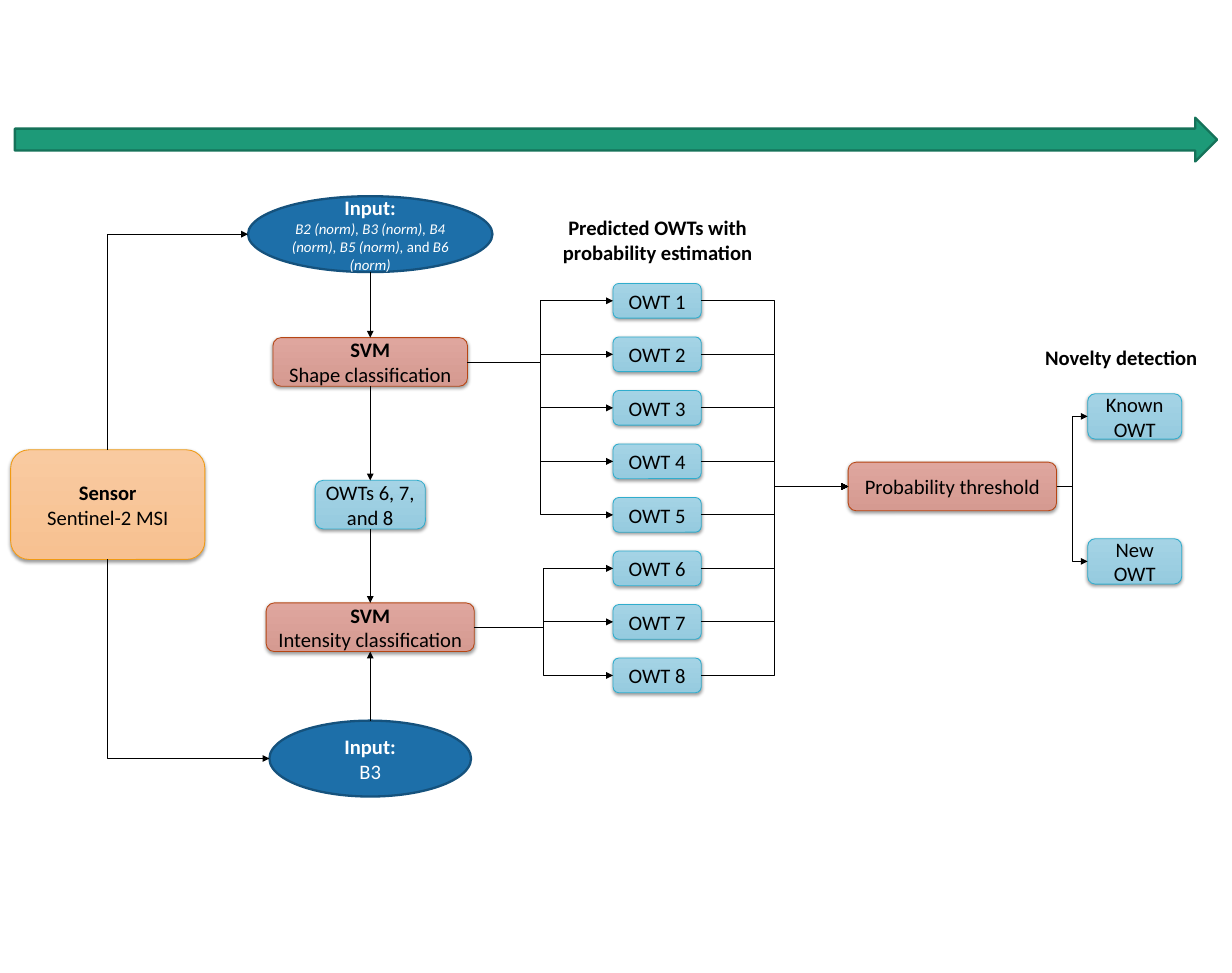
from dataclasses import dataclass

from lxml.etree import SubElement
from pptx import Presentation
from pptx.dml.color import RGBColor
from pptx.enum.shapes import MSO_CONNECTOR as Connector, MSO_SHAPE as Shape
from pptx.enum.text import MSO_ANCHOR as Anchor, MSO_AUTO_SIZE as AutoSize, PP_ALIGN as Align
from pptx.oxml.ns import qn
from pptx.util import Cm, Pt

TOP, LEFT, BOTTOM, RIGHT = range(4)


@dataclass(frozen=True)
class Theme:
    font: str = "Calibri"
    body: float = 18
    small: float = 13
    thin: float = 0.75
    thick: float = 2
    black: str = "000000"
    white: str = "FFFFFF"
    # Gradient start, gradient end, outline
    blue: tuple = ("A4D3E5", "96CBDF", "30ADCD")
    red: tuple = ("DFA69E", "D59A91", "B64614")
    orange: tuple = ("F9CAA0", "F7C191", "F09A13")
    # Fill, outline
    navy: tuple = ("1D6FA9", "15527D")
    green: tuple = ("1D9A78", "157259")


class Diagram:
    def __init__(self, slide, theme):
        self.slide = slide
        self.theme = theme

    def style_run(self, run, color, size, bold=False, italic=False):
        font = run.font
        font.name, font.size = self.theme.font, Pt(size)
        font.bold, font.italic = bold, italic
        font.color.rgb = RGBColor.from_string(color)

    def add_lines(self, shape, lines, color, bold_first):
        frame = shape.text_frame
        frame.word_wrap = True
        frame.text = "\n".join(lines)
        for index, paragraph in enumerate(frame.paragraphs):
            paragraph.alignment = Align.CENTER
            for run in paragraph.runs:
                self.style_run(run, color, self.theme.body, bold_first and index == 0)

    def outline(self, shape, color, width):
        shape.line.color.rgb = RGBColor.from_string(color)
        shape.line.width = Pt(width)

    def solid(self, kind, left, top, width, height, colors, lines=()):
        """Flat shape with a thick outline."""
        shape = self.slide.shapes.add_shape(kind, Cm(left), Cm(top), Cm(width), Cm(height))
        shape.shadow.inherit = False
        shape.fill.solid()
        shape.fill.fore_color.rgb = RGBColor.from_string(colors[0])
        self.outline(shape, colors[1], self.theme.thick)
        if lines:
            shape.text_frame.vertical_anchor = Anchor.MIDDLE
            self.add_lines(shape, lines, self.theme.white, True)
        return shape

    def box(self, left, top, width, height, colors, *lines):
        """Rounded box with a gradient and a soft shadow."""
        shape = self.slide.shapes.add_shape(
            Shape.ROUNDED_RECTANGLE, Cm(left), Cm(top), Cm(width), Cm(height))
        shape.fill.gradient()
        shape.fill.gradient_angle = 270
        for stop, color in zip(shape.fill.gradient_stops, colors):
            stop.color.rgb = RGBColor.from_string(color)
        self.outline(shape, colors[2], self.theme.thin)
        self.soft_shadow(shape)
        shape.text_frame.vertical_anchor = Anchor.MIDDLE
        self.add_lines(shape, lines, self.theme.black, len(lines) > 1)
        return shape

    def soft_shadow(self, shape):
        shape.shadow.inherit = False
        effects = shape._element.spPr.find(qn("a:effectLst"))
        shadow = SubElement(effects, qn("a:outerShdw"), blurRad=str(Pt(3.1)),
                            dist=str(Pt(1.6)), dir="5400000", rotWithShape="0")
        color = SubElement(shadow, qn("a:srgbClr"), val=self.theme.black)
        SubElement(color, qn("a:alpha"), val="38000")

    def heading(self, left, top, width, height, text):
        box = self.slide.shapes.add_textbox(Cm(left), Cm(top), Cm(width), Cm(height))
        self.add_lines(box, [text], self.theme.black, True)
        box.text_frame.auto_size = AutoSize.SHAPE_TO_FIT_TEXT

    def side_point(self, shape, side):
        middle_x = shape.left + shape.width // 2
        middle_y = shape.top + shape.height // 2
        return {
            TOP: (middle_x, shape.top),
            LEFT: (shape.left, middle_y),
            BOTTOM: (middle_x, shape.top + shape.height),
            RIGHT: (shape.left + shape.width, middle_y),
        }[side]

    def connect(self, start, start_side, end, end_side, kind=Connector.ELBOW, arrow="a:tailEnd"):
        connector = self.slide.shapes.add_connector(
            kind, *self.side_point(start, start_side), *self.side_point(end, end_side))
        # Ellipses number their connection sites differently, so only boxes are joined
        if start.auto_shape_type == Shape.ROUNDED_RECTANGLE:
            connector.begin_connect(start, start_side)
        if end.auto_shape_type == Shape.ROUNDED_RECTANGLE:
            connector.end_connect(end, end_side)
        self.outline(connector, self.theme.black, self.theme.thin)
        properties = connector._element.spPr
        SubElement(properties.find(qn("a:ln")), qn(arrow), type="triangle")
        SubElement(properties, qn("a:effectLst"))
        return connector

    def corner(self, target, source):
        """One-bend line from the source's top or bottom to the target's left side."""
        side = TOP if target.top < source.top else BOTTOM
        connector = self.connect(target, LEFT, source, side, arrow="a:headEnd")
        connector._element.spPr.find(qn("a:prstGeom")).set("prst", "bentConnector2")


def main():
    presentation = Presentation()
    presentation.slide_width, presentation.slide_height = Cm(38), Cm(30)
    slide = presentation.slides.add_slide(presentation.slide_layouts[6])
    theme = Theme()
    diagram = Diagram(slide, theme)

    # Process arrow and headings
    diagram.solid(Shape.RIGHT_ARROW, 0.46, 3.63, 37.08, 1.35, theme.green)
    diagram.heading(16.13, 6.5, 8.31, 1.78, "Predicted OWTs with probability estimation")
    diagram.heading(31.37, 10.52, 6.43, 1.02, "Novelty detection")

    # Sensor
    sensor = diagram.box(0.33, 13.87, 5.99, 3.38, theme.orange, "Sensor", "Sentinel-2 MSI")

    # Classification column, centred on one axis
    axis = 11.42
    bands = diagram.solid(Shape.OVAL, axis - 3.77, 6.05, 7.54, 2.34, theme.navy,
                          ["Input:", "B2 (norm), B3 (norm), B4 (norm), B5 (norm), "])
    band_list = bands.text_frame.paragraphs[1]
    for text in ("and", " B6 (norm)"):
        band_list.add_run().text = text
    for run in band_list.runs:
        diagram.style_run(run, theme.white, theme.small, italic=run.text != "and")
    shape_svm = diagram.box(axis - 3, 10.41, 6, 1.5, theme.red, "SVM", "Shape classification")
    passed_types = diagram.box(axis - 1.7, 14.81, 3.4, 1.5, theme.blue, "OWTs 6, 7, and 8")
    intensity_svm = diagram.box(axis - 3.21, 18.59, 6.42, 1.5, theme.red,
                                "SVM", "Intensity classification")
    band_three = diagram.solid(Shape.OVAL, axis - 3.11, 22.22, 6.22, 2.34, theme.navy,
                               ["Input:", "B3"])

    for target in (bands, band_three):
        diagram.corner(target, sensor)
    column = (bands, shape_svm, passed_types, intensity_svm)
    for upper, lower in zip(column, column[1:]):
        diagram.connect(upper, BOTTOM, lower, TOP, Connector.STRAIGHT)
    diagram.connect(band_three, TOP, intensity_svm, BOTTOM, Connector.STRAIGHT)

    # Predicted water types, all leading to the threshold
    threshold = diagram.box(26.16, 14.25, 6.43, 1.5, theme.red, "Probability threshold")
    for number in range(1, 9):
        water_type = diagram.box(18.91, 8.74 + 1.65 * (number - 1), 2.72, 1.07,
                                 theme.blue, f"OWT {number}")
        classifier = shape_svm if number <= 5 else intensity_svm
        diagram.connect(classifier, RIGHT, water_type, LEFT)
        diagram.connect(water_type, RIGHT, threshold, LEFT)

    # Novelty detection results
    for text, top in (("Known OWT", 12.14), ("New OWT", 16.61)):
        result = diagram.box(33.55, top, 2.9, 1.4, theme.blue, text)
        diagram.connect(threshold, RIGHT, result, LEFT)

    presentation.save("out.pptx")


if __name__ == "__main__":
    main()
